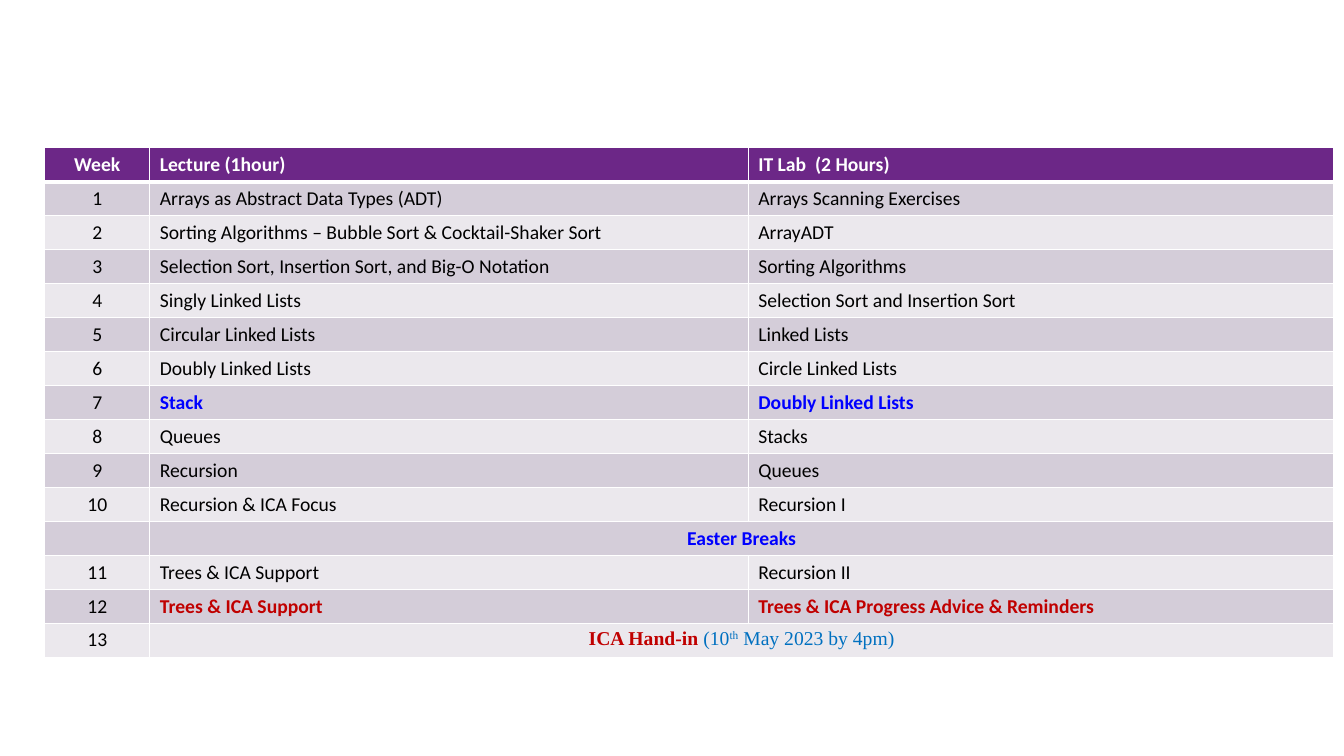
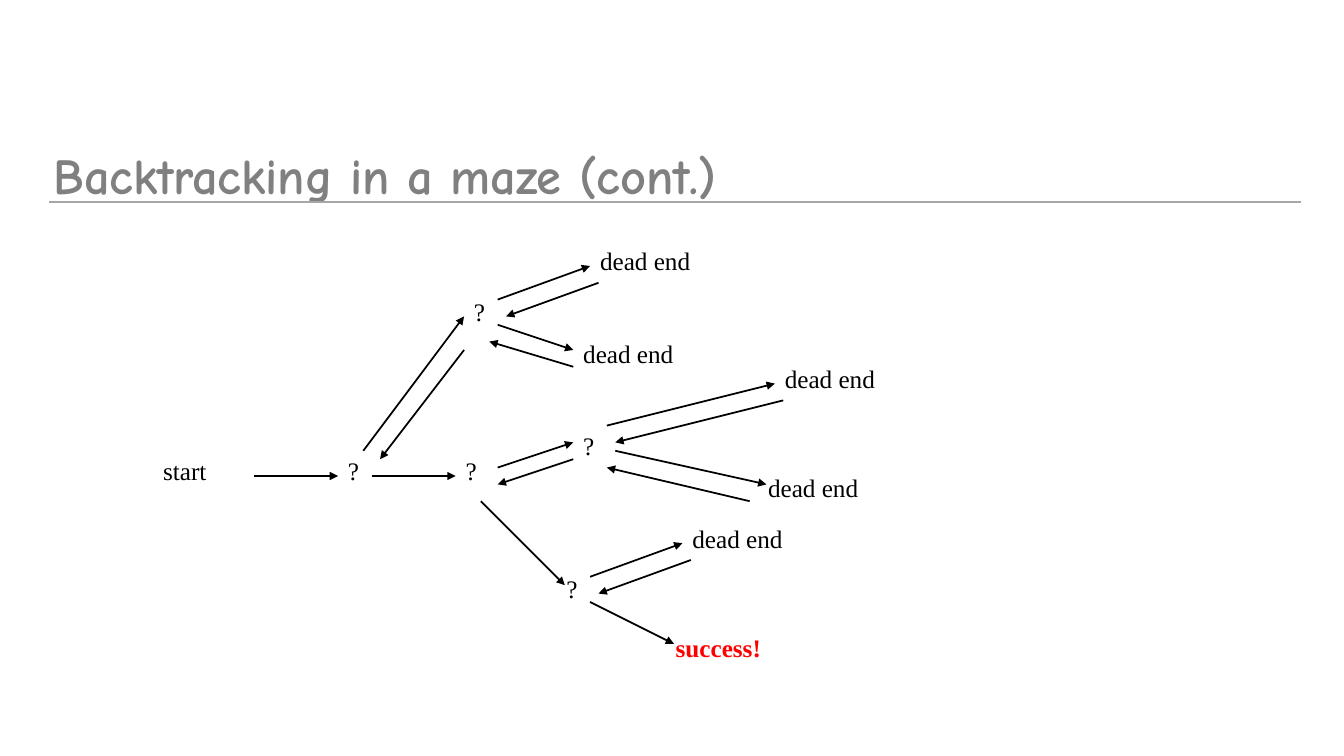
from lxml.etree import SubElement
from pptx import Presentation
from pptx.dml.color import RGBColor
from pptx.enum.shapes import MSO_CONNECTOR
from pptx.enum.text import MSO_ANCHOR, PP_ALIGN
from pptx.oxml import parse_xml
from pptx.oxml.ns import nsdecls, qn
from pptx.util import Pt

WHITE = RGBColor(0xFF, 0xFF, 0xFF)
BLACK = RGBColor(0, 0, 0)
PURPLE = RGBColor(0x6C, 0x27, 0x87)
LILAC = RGBColor(0xD4, 0xCD, 0xD9)
PALE = RGBColor(0xEB, 0xE8, 0xED)
BLUE = RGBColor(0, 0, 0xFF)
SKY = RGBColor(0, 0x70, 0xC0)
DARK_RED = RGBColor(0xC0, 0, 0)
RED = RGBColor(0xFF, 0, 0)
GREY = RGBColor(0x80, 0x80, 0x80)
RULE_GREY = RGBColor(0xA6, 0xA6, 0xA6)
SANS, SERIF, COMIC = "Calibri", "Times New Roman", "Comic Neue"


def add_run(p, text, size, font, color, bold=False):
    r = p.add_run()
    r.text = text
    r.font.size, r.font.name, r.font.bold = Pt(size), font, bold
    r.font.color.rgb = color
    return r


def add_line(slide, x1, y1, x2, y2, color, arrow=False):
    sp = slide.shapes.add_connector(MSO_CONNECTOR.STRAIGHT, Pt(x1), Pt(y1), Pt(x2), Pt(y2))
    sp.line.color.rgb = color
    sp.line.width = Pt(1.25)
    if arrow:
        SubElement(sp.line._get_or_add_ln(), qn("a:tailEnd"), type="triangle")
    SubElement(sp._element.spPr, qn("a:effectLst"))


prs = Presentation()
prs.slide_width, prs.slide_height = Pt(960), Pt(540)

# Slide 1: weekly schedule
s = prs.slides.add_slide(prs.slide_layouts[6])
support = "Trees & ICA Support"
weeks = [
    ("Week", "Lecture (1hour)", "IT Lab  (2 Hours)"),
    ("1", "Arrays as Abstract Data Types (ADT)", "Arrays Scanning Exercises"),
    ("2", "Sorting Algorithms – Bubble Sort & Cocktail-Shaker Sort", "ArrayADT"),
    ("3", "Selection Sort, Insertion Sort, and Big-O Notation", "Sorting Algorithms"),
    ("4", "Singly Linked Lists", "Selection Sort and Insertion Sort"),
    ("5", "Circular Linked Lists", "Linked Lists"),
    ("6", "Doubly Linked Lists", "Circle Linked Lists"),
    ("7", "Stack", "Doubly Linked Lists"),
    ("8", "Queues", "Stacks"),
    ("9", "Recursion", "Queues"),
    ("10", "Recursion & ICA Focus", "Recursion I"),
    ("", "Easter Breaks"),
    ("11", support, "Recursion II"),
    ("12", support, "Trees & ICA Progress Advice & Reminders"),
    ("13", ""),
]
accents = {"7": BLUE, "": BLUE, "12": DARK_RED}

table = s.shapes.add_table(len(weeks), 3, Pt(32), Pt(105.5), Pt(920.5), Pt(24 * len(weeks))).table
for column, width in zip(table.columns, (75, 427.5, 418)):
    column.width = Pt(width)

for i, week in enumerate(weeks):
    table.rows[i].height = Pt(24)
    spanning = len(week) == 2
    if spanning:
        table.cell(i, 1).merge(table.cell(i, 2))
    for j in range(3):
        cell = table.cell(i, j)
        # White borders, thicker under the header
        tcPr = cell._tc.get_or_add_tcPr()
        thick = {"B": 0, "T": 1}
        for side in "LRTB":
            width = Pt(3 if thick.get(side) == i else 1)
            tcPr.append(parse_xml(
                f'<a:ln{side} {nsdecls("a")} w="{width}"><a:solidFill>'
                f'<a:srgbClr val="{WHITE}"/></a:solidFill></a:ln{side}>'))
        cell.fill.solid()
        cell.fill.fore_color.rgb = PURPLE if i == 0 else LILAC if i % 2 else PALE
        p = cell.text_frame.paragraphs[0]
        if j == 0 or spanning:
            p.alignment = PP_ALIGN.CENTER
        if j < len(week) and week[j]:
            accent = accents.get(week[0]) if j else None
            color = WHITE if i == 0 else accent or BLACK
            add_run(p, week[j], 14, SANS, color, i == 0 or accent is not None)
        else:
            p._p.get_or_add_endParaRPr().set("sz", "1400")

# Hand-in deadline
p = table.cell(len(weeks) - 1, 1).text_frame.paragraphs[0]
add_run(p, "ICA Hand-in ", 14, SERIF, DARK_RED, True)
add_run(p, "(10", 14, SERIF, SKY)
add_run(p, "th", 14, SERIF, SKY).font._element.set("baseline", "30000")
add_run(p, " May 2023 by 4pm)", 14, SERIF, SKY)

# Slide 2: maze search tree
s = prs.slides.add_slide(prs.slide_layouts[5])
title = s.shapes.title
title.left, title.top, title.width, title.height = Pt(31), Pt(101), Pt(910), Pt(52)
tf = title.text_frame
tf.vertical_anchor = MSO_ANCHOR.MIDDLE
p = tf.paragraphs[0]
p.alignment, p.line_spacing = PP_ALIGN.LEFT, 0.9
r = add_run(p, "Backtracking in a maze (cont.)", 36, COMIC, GREY, True)
r.font._element.set("spc", "-10")
add_line(s, 35, 144.5, 929, 144.5, RULE_GREY)

# The diagram sits on a 6 pt grid
GRID, X0, Y0 = 6, 1.5, 4

# Labels: text, column, row, width in grid units
labels = [
    ("start", 18, 53, 13), ("?", 40, 53, 6), ("?", 55, 34, 5),
    ("?", 54, 53, 6), ("?", 68, 50, 6), ("?", 66, 67, 6),
    ("dead end", 70, 28, 21), ("dead end", 68, 39, 21), ("dead end", 92, 42, 21),
    ("dead end", 90, 55, 21), ("dead end", 81, 61, 21), ("success!", 79, 74, 21),
]
for text, col, row, width in labels:
    sp = s.shapes.add_textbox(Pt(X0 + GRID * col), Pt(Y0 + GRID * row), Pt(GRID * width), Pt(36))
    tf = sp.text_frame
    tf.word_wrap = True
    found = text == "success!"
    add_run(tf.paragraphs[0], text, 18, SERIF, RED if found else BLACK, found)

# Arrows: from column and row, to column and row
arrows = [
    # Forward moves
    (30, 56, 40, 56), (44, 56, 54, 56), (43, 53, 55, 37), (59, 35, 70, 31),
    (59, 38, 68, 41), (59, 55, 68, 52), (72, 50, 92, 45), (73, 53, 91, 57),
    (57, 59, 67, 69), (70, 68, 81, 64), (70, 71, 80, 76),
    # Moves back
    (71, 33, 60, 37), (68, 43, 58, 40), (55, 41, 45, 54), (93, 47, 73, 52),
    (89, 59, 72, 55), (68, 54, 59, 57), (82, 66, 71, 70),
]
for x1, y1, x2, y2 in arrows:
    add_line(s, X0 + GRID * x1, Y0 + GRID * y1, X0 + GRID * x2, Y0 + GRID * y2, BLACK, True)

prs.save("out.pptx")
